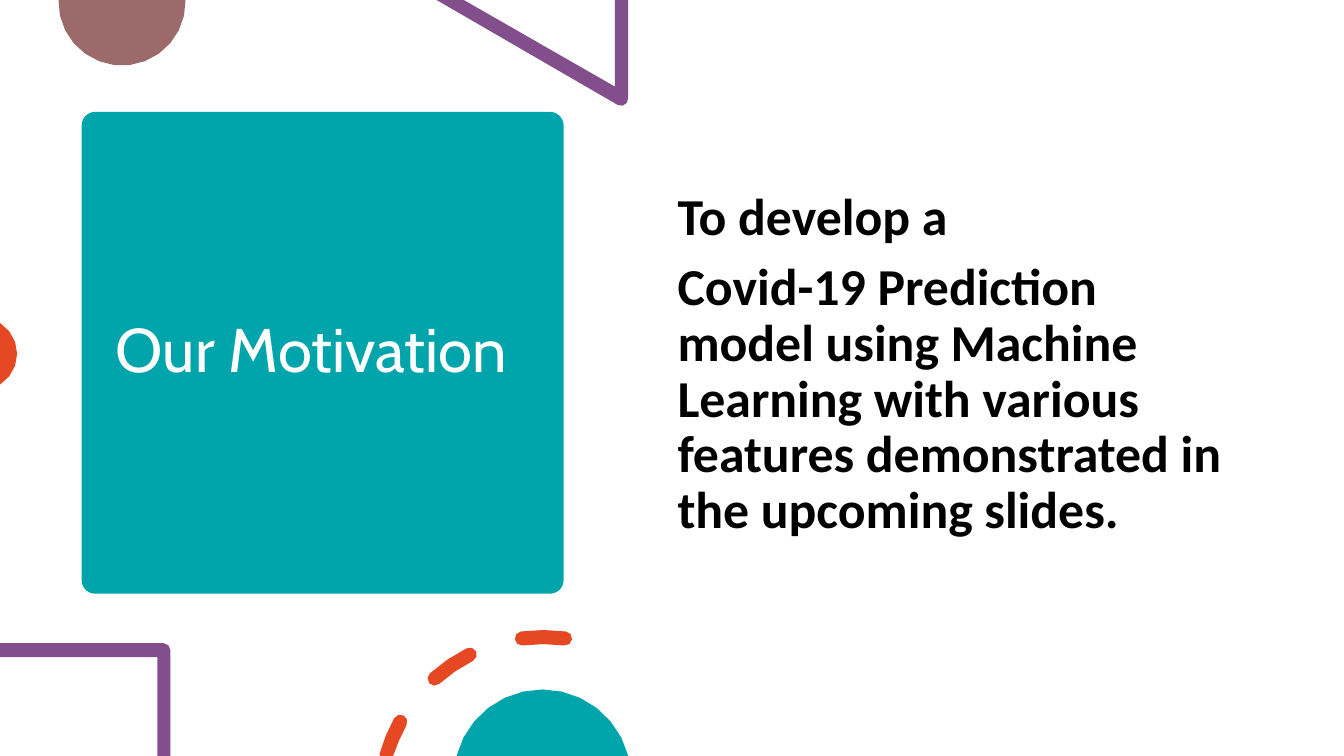
from dataclasses import dataclass
from math import ceil, cos, radians, sin, sqrt

from lxml.etree import SubElement
from pptx import Presentation
from pptx.dml.color import RGBColor
from pptx.enum.shapes import MSO_SHAPE
from pptx.enum.text import MSO_ANCHOR, MSO_AUTO_SIZE, PP_ALIGN
from pptx.oxml.ns import qn
from pptx.util import Inches, Pt

SLIDE_WIDTH, SLIDE_HEIGHT = 13.33, 7.5


@dataclass(frozen=True)
class Theme:
    teal: str = "00A5AB"
    purple: str = "824F8C"
    orange: str = "E64823"
    rose: str = "9C6A6A"
    white: str = "FFFFFF"
    black: str = "000000"
    title_font: str = "Cabin"
    body_font: str = "Calibri"
    title_size: float = 44
    body_size: float = 37
    line_spacing: float = 0.9
    paragraph_gap: float = 10


def on_circle(center, radius, angle):
    """Point on a circle; degrees run clockwise from the right."""
    return (center[0] + radius * cos(radians(angle)),
            center[1] + radius * sin(radians(angle)))


def arc(center, radius, start, end):
    """Points along an arc, closer together on larger circles."""
    steps = ceil(abs(end - start) * sqrt(radius) / 12)
    return [on_circle(center, radius, start + (end - start) * i / steps)
            for i in range(steps + 1)]


def round_dash(center, radius, start, end, half_width):
    """Outline of a round-ended dash on a ring, cut at the slide's lower edge."""
    first, last = (on_circle(center, radius, angle) for angle in (start, end))
    outline = (arc(center, radius + half_width, start, end)
               + arc(last, half_width, end, end + 180)[1:]
               + arc(center, radius - half_width, end, start)[1:]
               + arc(first, half_width, start + 180, start + 360)[1:-1])
    return [(x, min(y, SLIDE_HEIGHT)) for x, y in outline]


class SlideBuilder:
    def __init__(self, slide, theme):
        self.slide, self.theme = slide, theme

    def paint(self, shape, color):
        shape.shadow.inherit = False
        shape.fill.solid()
        shape.fill.fore_color.rgb = RGBColor.from_string(color)
        shape.line.fill.background()

    def card(self, box, color, corner, behind):
        card = self.slide.shapes.add_shape(
            MSO_SHAPE.ROUNDED_RECTANGLE, *map(Inches, box))
        card.adjustments[0] = corner
        self.paint(card, color)
        behind._element.addprevious(card._element)

    def outline(self, color, *contours):
        contours = [[(Inches(x), Inches(y)) for x, y in c] for c in contours]
        builder = self.slide.shapes.build_freeform(*contours[0][0])
        for index, points in enumerate(contours):
            if index:
                builder.move_to(*points[0])
            builder.add_line_segments(points[1:], close=True)
        self.paint(builder.convert_to_shape(), color)

    def text(self, placeholder, box, paragraphs, font, size, color, bold,
             anchor, top_margin=0.05):
        (placeholder.left, placeholder.top,
         placeholder.width, placeholder.height) = map(Inches, box)
        frame = placeholder.text_frame
        frame.text = "\n".join(paragraphs)
        frame.word_wrap = True
        frame.auto_size = MSO_AUTO_SIZE.NONE
        frame.vertical_anchor = anchor
        frame.margin_top = Inches(top_margin)
        for index, paragraph in enumerate(frame.paragraphs):
            paragraph.alignment = PP_ALIGN.LEFT
            paragraph.line_spacing = self.theme.line_spacing
            paragraph.space_before = Pt(self.theme.paragraph_gap if index else 0)
            # Plain paragraphs without bullet or indent
            properties = paragraph._p.get_or_add_pPr()
            properties.set("marL", "0")
            properties.set("indent", "0")
            SubElement(properties, qn("a:buNone"))
            for run in paragraph.runs:
                run.font.name, run.font.size, run.font.bold = font, Pt(size), bold
                run.font.color.rgb = RGBColor.from_string(color)


def main():
    presentation = Presentation()
    presentation.slide_width = Inches(SLIDE_WIDTH)
    presentation.slide_height = Inches(SLIDE_HEIGHT)
    slide = presentation.slides.add_slide(presentation.slide_layouts[1])
    theme = Theme()
    page = SlideBuilder(slide, theme)
    heading, motivation = slide.shapes.title, slide.placeholders[1]

    # Title card with its heading in front
    page.card((0.81, 1.11, 4.78, 4.78), theme.teal, 0.028, behind=heading)
    page.text(heading, (1.05, 1.22, 4.31, 4.56), ["Our Motivation"],
              theme.title_font, theme.title_size, theme.white, False,
              MSO_ANCHOR.MIDDLE)

    # Motivation statement
    page.text(motivation, (6.62, 0.74, 5.75, 5.35),
              ["To develop a",
               "Covid-19 Prediction model using Machine Learning with various "
               "features demonstrated in the upcoming slides."],
              theme.body_font, theme.body_size, theme.black, True,
              MSO_ANCHOR.TOP, top_margin=1.15)

    # Circles cut by the slide edges
    page.outline(theme.rose, arc((1.21, 0.02), 0.63, -1.8, 181.8))
    page.outline(theme.orange, arc((-0.19, 3.51), 0.36, -58, 58))
    page.outline(theme.teal, arc((5.38, 7.72), 0.88, 194.5, 345.5))

    # Triangle and square frames with one rounded corner each
    page.outline(theme.purple,
                 [(4.33, 0), (4.6, 0), (6.1, 0.86), (6.1, 0), (6.23, 0)]
                 + arc((6.16, 0.98), 0.07, 0, 115))
    page.outline(theme.purple,
                 [(0, 6.52), (0, 6.38)] + arc((1.62, 6.45), 0.07, -90, 0)
                 + [(1.69, 7.5), (1.56, 7.5), (1.56, 6.52)])

    # Dashed ring
    dash_angles = [(195.8, 208.8), (228.2, 243.2), (262.4, 277.6)]
    page.outline(theme.orange, *(round_dash((5.39, 7.94), 1.62, start, end, 0.07)
                                 for start, end in dash_angles))

    presentation.save("out.pptx")


if __name__ == "__main__":
    main()
